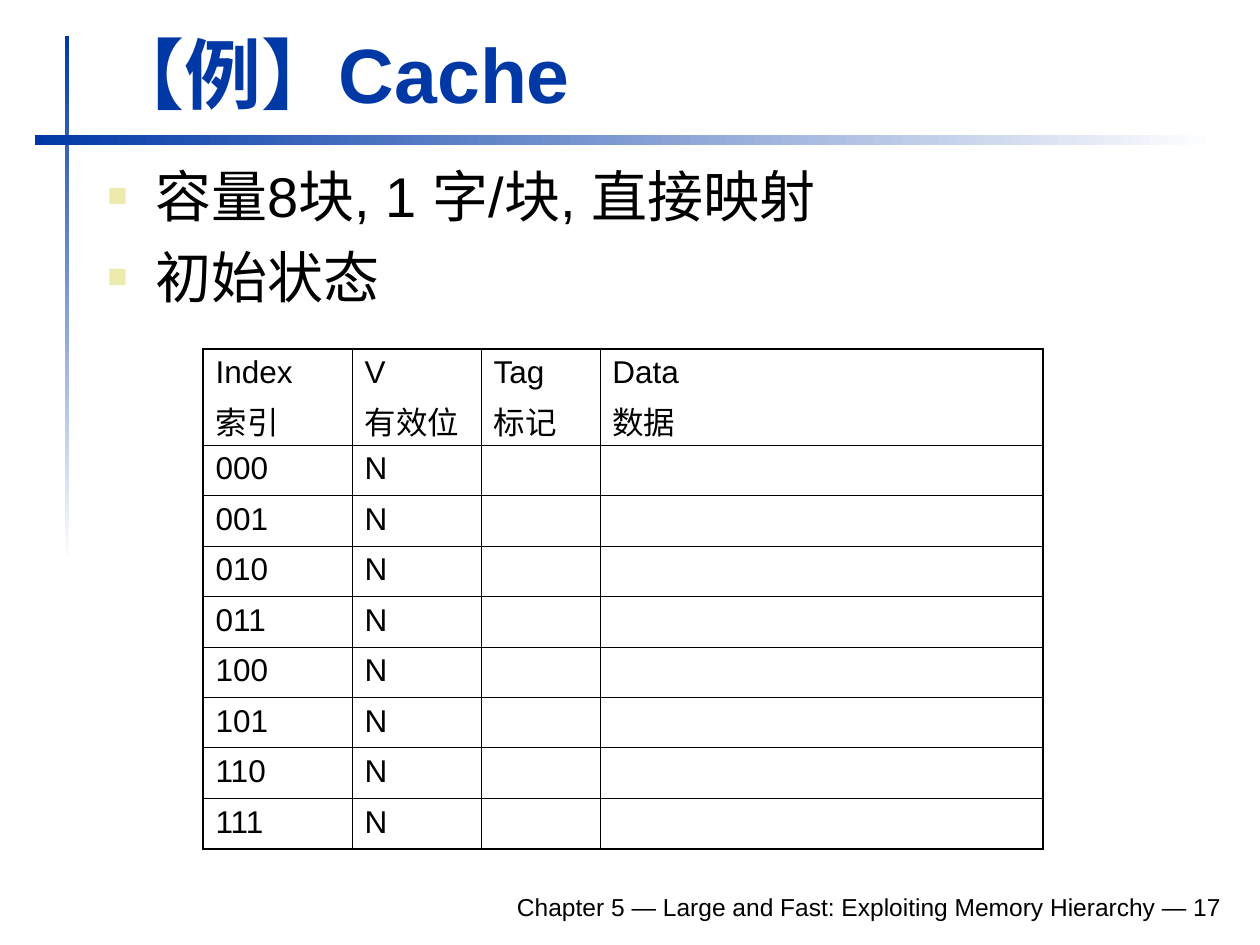
"""Builds the slide on the initial state of a direct-mapped cache."""
from dataclasses import dataclass

from lxml import etree
from pptx import Presentation
from pptx import util as u
from pptx.dml.color import RGBColor
from pptx.enum import shapes, text
from pptx.oxml.ns import qn


@dataclass(frozen=True)
class Theme:
    font: str = "Arial"
    ink: str = "000000"
    accent: str = "0039A6"
    paper: str = "FFFFFF"
    bullet: str = "ECEAAC"
    title_size: int = 44
    body_size: int = 32
    table_size: int = 18
    footer_size: int = 14
    outer_rule: float = 1.08
    header_rule: float = 0.75
    inner_rule: float = 0.45


THEME = Theme()
EMU_PER_PX = 914400 / 126
HEADINGS = [("Index", "索引"), ("V", "有效位"), ("Tag", "标记"), ("Data", "数据")]
COLUMN_WIDTHS = [149, 129, 119, 443]
HEADER_HEIGHT, ROW_HEIGHT = 96, 50
INDEX_BITS = 3


def px(*lengths):
    return [u.Emu(round(length * EMU_PER_PX)) for length in lengths]


def place(element, *box):
    element.left, element.top, element.width, element.height = px(*box)


def add_run(paragraph, words, size, color=THEME.ink, bold=False):
    run = paragraph.add_run()
    run.text = words
    run.font.name = THEME.font
    run.font.size = u.Pt(size)
    run.font.bold = bold
    run.font.color.rgb = RGBColor.from_string(color)


def add_lines(frame, lines, size, gap):
    for number, line in enumerate(lines):
        paragraph = frame.add_paragraph() if number else frame.paragraphs[0]
        if number:
            paragraph.space_before = u.Pt(gap)
        add_run(paragraph, line, size)


def add_fading_bar(slide, angle, *box):
    bar = slide.shapes.add_shape(shapes.MSO_SHAPE.RECTANGLE, *px(*box))
    bar.shadow.inherit = False
    bar.line.fill.background()
    bar.fill.gradient()
    bar.fill.gradient_angle = angle
    for stop, color in zip(bar.fill.gradient_stops, (THEME.accent, THEME.paper)):
        stop.color.rgb = RGBColor.from_string(color)


def add_text_box(slide, *box):
    frame = slide.shapes.add_textbox(*px(*box)).text_frame
    frame.word_wrap = True
    return frame


def set_title(slide, words, *box):
    title = slide.shapes.title
    place(title, *box)
    frame = title.text_frame
    frame.vertical_anchor = text.MSO_ANCHOR.BOTTOM
    frame.auto_size = text.MSO_AUTO_SIZE.SHAPE_TO_FIT_TEXT
    heading = frame.paragraphs[0]
    heading.alignment = text.PP_ALIGN.LEFT
    add_run(heading, words, THEME.title_size, THEME.accent, bold=True)


def add_bullets(slide, lines, *box):
    frame = add_text_box(slide, *box)
    add_lines(frame, lines, THEME.body_size, 8)
    indent = px(48)[0]
    for paragraph in frame.paragraphs:
        properties = paragraph._p.get_or_add_pPr()
        properties.set("marL", str(indent))
        properties.set("indent", str(-indent))
        bullet_color = etree.SubElement(properties, qn("a:buClr"))
        etree.SubElement(bullet_color, qn("a:srgbClr"), val=THEME.bullet)
        etree.SubElement(properties, qn("a:buSzPct"), val="60000")
        etree.SubElement(properties, qn("a:buFont"), typeface=THEME.font)
        etree.SubElement(properties, qn("a:buChar"), char="■")


def add_footer(slide, words, *box):
    frame = add_text_box(slide, *box)
    frame.vertical_anchor = text.MSO_ANCHOR.BOTTOM
    frame.paragraphs[0].alignment = text.PP_ALIGN.RIGHT
    add_run(frame.paragraphs[0], words, THEME.footer_size)


def rule_cell(cell, widths):
    properties = cell._tc.get_or_add_tcPr()
    for position, (side, width) in enumerate(zip("LRTB", widths)):
        rule = etree.Element(qn(f"a:ln{side}"), w=str(u.Pt(width)))
        fill = etree.SubElement(rule, qn("a:solidFill"))
        etree.SubElement(fill, qn("a:srgbClr"), val=THEME.ink)
        properties.insert(position, rule)


def edge_widths(count, second):
    return [THEME.outer_rule, second] + [THEME.inner_rule] * (count - 2) + [THEME.outer_rule]


def add_cache_table(slide, left, top):
    indexes = [f"{block:0{INDEX_BITS}b}" for block in range(2 ** INDEX_BITS)]
    rows = [HEADINGS] + [[(index,), ("N",), (), ()] for index in indexes]
    heights = [HEADER_HEIGHT] + [ROW_HEIGHT] * len(indexes)
    frame = slide.shapes.add_table(len(rows), len(HEADINGS),
                                   *px(left, top, sum(COLUMN_WIDTHS), sum(heights)))
    table = frame.table
    table.first_row = table.horz_banding = False
    for column, width in zip(table.columns, px(*COLUMN_WIDTHS)):
        column.width = width
    for row, height in zip(table.rows, px(*heights)):
        row.height = height
    across = edge_widths(len(HEADINGS), THEME.inner_rule)
    down = edge_widths(len(rows), THEME.header_rule)
    for r, entries in enumerate(rows):
        for c, lines in enumerate(entries):
            cell = table.cell(r, c)
            cell.fill.background()
            add_lines(cell.text_frame, lines, THEME.table_size, 4.5)
            rule_cell(cell, across[c:c + 2] + down[r:r + 2])


def main():
    deck = Presentation()
    deck.slide_width, deck.slide_height = px(1260, 945)
    slide = deck.slides.add_slide(deck.slide_layouts[5])
    add_fading_bar(slide, 270, 65, 36, 4, 525)
    add_fading_bar(slide, 0, 35, 135, 1180, 10)
    add_footer(slide, "Chapter 5 — Large and Fast: Exploiting Memory Hierarchy — 17",
               233, 879, 1001, 49)
    set_title(slide, "【例】Cache", 95, 20, 1138, 105)
    add_bullets(slide, ["容量8块, 1 字/块, 直接映射", "初始状态"], 95, 155, 1139, 184)
    add_cache_table(slide, 203, 349)
    deck.save("out.pptx")


if __name__ == "__main__":
    main()
